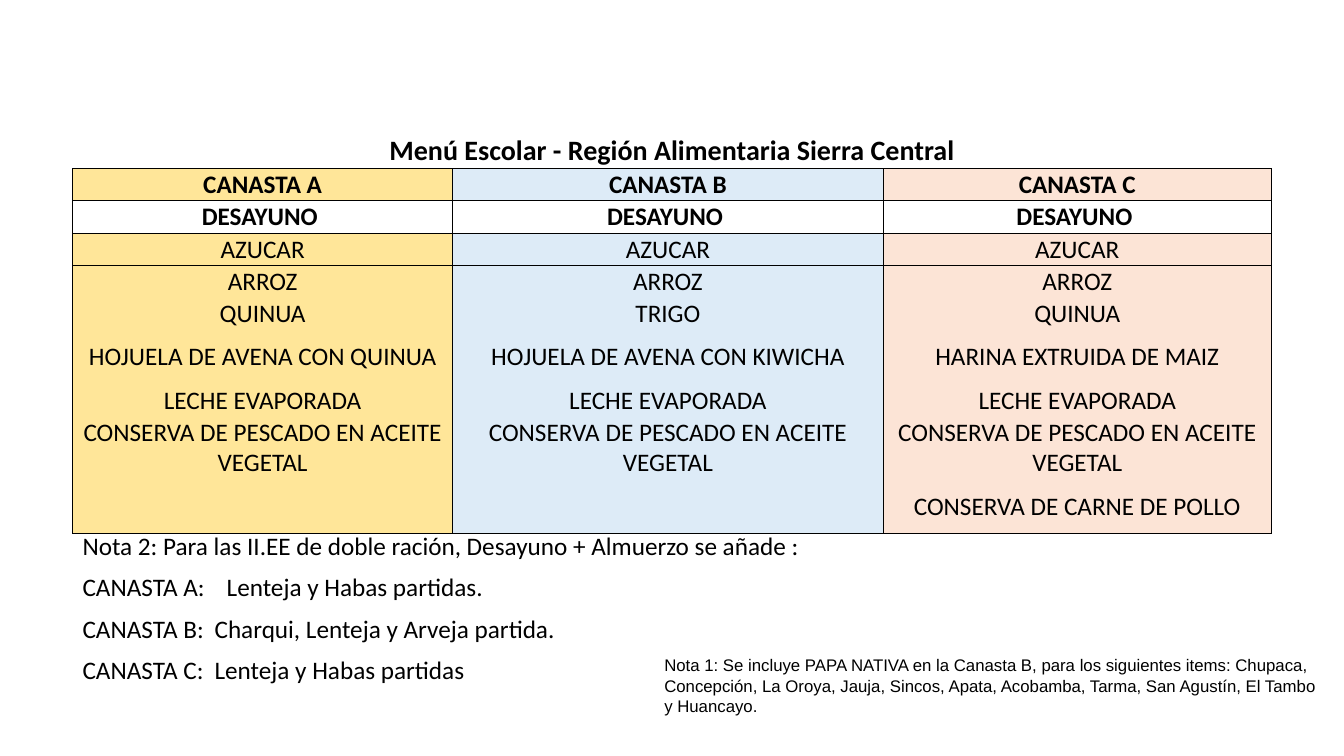
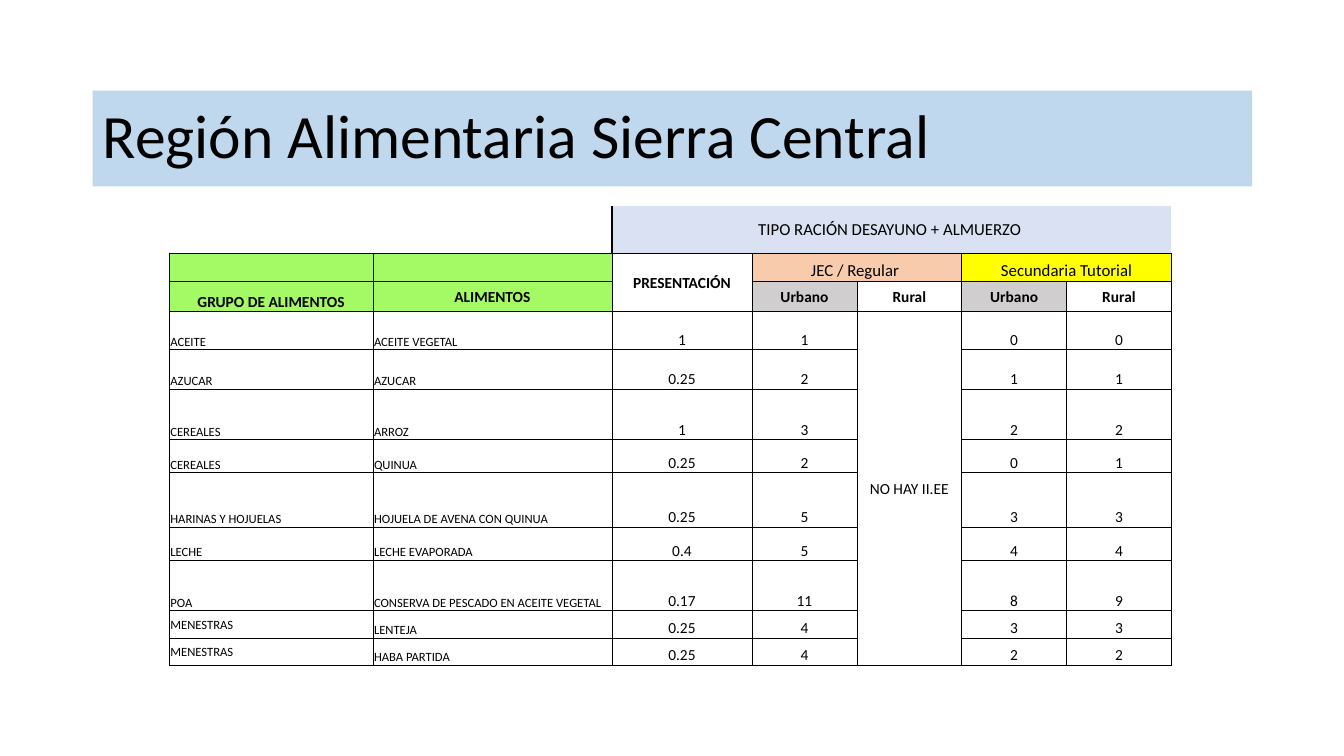
from dataclasses import dataclass

from lxml.etree import SubElement
from pptx import Presentation
from pptx.dml.color import RGBColor as RGB
from pptx.enum.shapes import MSO_SHAPE as Shape
from pptx.enum.text import MSO_ANCHOR as Anchor, PP_ALIGN as Align
from pptx.oxml.ns import qn
from pptx.util import Inches, Pt


@dataclass(frozen=True)
class Theme:
    font: str = "Calibri"
    note_font: str = "Arial"
    ink: str = "000000"
    white: str = "FFFFFF"
    title_band: str = "C0D8ED"
    basket_a: str = "FFE699"
    basket_b: str = "DDEBF7"
    basket_c: str = "FCE4D6"
    ration: str = "D9E1F2"
    group: str = "A4FA64"
    regular: str = "F8CBAD"
    tutorial: str = "FFFF00"
    urban: str = "D0CECE"
    title: int = 44
    menu_title: int = 20
    body: int = 18
    small: int = 12
    figure: int = 11
    food: int = 9
    thin: float = 0.5
    thick: float = 1


THEME = Theme()
NO_GRID_STYLE = "{2D5ABB26-0587-4C30-8999-92F81FD0307C}"
EDGE_TAGS = {"l": "a:lnL", "r": "a:lnR", "t": "a:lnT", "b": "a:lnB"}


def style_font(paragraph, size, bold=False, name=THEME.font):
    font = paragraph.font
    font.name, font.size, font.bold = name, Pt(size), bold
    font.color.rgb = RGB.from_string(THEME.ink)


def draw_edges(cell, edges):
    properties = cell._tc.get_or_add_tcPr()
    lines = []
    for side, tag in EDGE_TAGS.items():
        if side in edges:
            line = SubElement(properties, qn(tag), w=str(Pt(edges[side])))
            fill = SubElement(line, qn("a:solidFill"))
            SubElement(fill, qn("a:srgbClr"), val=THEME.ink)
            lines.append(line)
    for position, line in enumerate(lines):
        properties.insert(position, line)


def fill_cell(cell, text, size, fill=None, bold=False, align=Align.CENTER,
              anchor=Anchor.MIDDLE, edges="lrtb", **thickness):
    cell.margin_left = cell.margin_right = cell.margin_top = Inches(0.01)
    cell.margin_bottom = 0
    cell.vertical_anchor = anchor
    paragraph = cell.text_frame.paragraphs[0]
    paragraph.alignment = align
    if text:
        paragraph.add_run().text = text
    style_font(paragraph, size, bold)
    if fill:
        cell.fill.solid()
        cell.fill.fore_color.rgb = RGB.from_string(fill)
    draw_edges(cell, {side: THEME.thin for side in edges} | thickness)


def add_grid(slide, left, top, widths, heights):
    table = slide.shapes.add_table(
        len(heights), len(widths), Inches(left), Inches(top),
        Inches(sum(widths)), Inches(sum(heights))).table
    table.first_row = table.horz_banding = False
    table._tbl.tblPr.find(qn("a:tableStyleId")).text = NO_GRID_STYLE
    for column, width in zip(table.columns, widths):
        column.width = Inches(width)
    for row, height in zip(table.rows, heights):
        row.height = Inches(height)
    return table


def add_menu_table(slide, left, top):
    fish = "CONSERVA DE PESCADO EN ACEITE VEGETAL"
    baskets = [
        ("CANASTA A", THEME.basket_a,
         ["AZUCAR", "ARROZ", "QUINUA", "HOJUELA DE AVENA CON QUINUA",
          "LECHE EVAPORADA", fish, ""]),
        ("CANASTA B", THEME.basket_b,
         ["AZUCAR", "ARROZ", "TRIGO", "HOJUELA DE AVENA CON KIWICHA",
          "LECHE EVAPORADA", fish, ""]),
        ("CANASTA C", THEME.basket_c,
         ["AZUCAR", "ARROZ", "QUINUA", "HARINA EXTRUIDA DE MAIZ",
          "LECHE EVAPORADA", fish, "CONSERVA DE CARNE DE POLLO"]),
    ]
    heights = [0.35] + [0.32] * 5 + [0.54, 0.32, 0.62, 0.54]
    table = add_grid(slide, left, top, [3.77, 4.27, 3.85], heights)
    table.cell(0, 0).merge(table.cell(0, 2))
    fill_cell(table.cell(0, 0), "Menú Escolar - Región Alimentaria Sierra Central",
              THEME.menu_title, bold=True, edges="b")
    for col, (basket, color, foods) in enumerate(baskets):
        fill_cell(table.cell(1, col), basket, THEME.body, color, bold=True)
        fill_cell(table.cell(2, col), "DESAYUNO ", THEME.body, bold=True)
        for row, food in enumerate(foods, 3):
            edges = "lr" + ("t" if row == 3 else "") + ("b" if row == 9 else "")
            fill_cell(table.cell(row, col), food, THEME.body, color, edges=edges)


def add_note(slide, left, top, width, height, lines, size, font, space=0):
    frame = slide.shapes.add_textbox(
        Inches(left), Inches(top), Inches(width), Inches(height)).text_frame
    frame.word_wrap = True
    for index, (text, tab_stop) in enumerate(lines):
        paragraph = frame.add_paragraph() if index else frame.paragraphs[0]
        paragraph.add_run().text = text
        paragraph.space_after = Pt(space)
        if tab_stop:
            tabs = SubElement(paragraph._p.get_or_add_pPr(), qn("a:tabLst"))
            SubElement(tabs, qn("a:tab"), pos=str(Inches(tab_stop)), algn="l")
        style_font(paragraph, size, name=font)


def add_title_band(slide, left, top, width, height, text):
    band = slide.shapes.add_shape(
        Shape.RECTANGLE, Inches(left), Inches(top), Inches(width), Inches(height))
    band.shadow.inherit = False
    band.fill.solid()
    band.fill.fore_color.rgb = RGB.from_string(THEME.title_band)
    band.line.fill.background()
    frame = band.text_frame
    frame.word_wrap = True
    frame.vertical_anchor = Anchor.MIDDLE
    title = frame.paragraphs[0]
    title.add_run().text = text
    title.alignment = Align.LEFT
    title.line_spacing = 0.9
    style_font(title, THEME.title)


def add_ration_headings(table):
    for first, last in [((0, 2), (0, 6)), ((1, 2), (2, 2)), ((1, 3), (1, 4)),
                        ((1, 5), (1, 6)), ((3, 4), (11, 4))]:
        table.cell(*first).merge(table.cell(*last))
    fill_cell(table.cell(0, 0), "", THEME.small, edges="b")
    fill_cell(table.cell(0, 1), "", THEME.small, THEME.white, edges="b", r=THEME.thick)
    fill_cell(table.cell(0, 2), "TIPO RACIÓN DESAYUNO + ALMUERZO ", THEME.small,
              THEME.ration, edges="b", l=THEME.thick)
    fill_cell(table.cell(1, 0), "", THEME.figure, THEME.group)
    fill_cell(table.cell(1, 1), "", THEME.figure, THEME.group, edges="ltb")
    fill_cell(table.cell(1, 2), "PRESENTACIÓN", THEME.figure, bold=True,
              edges="tr", b=THEME.thick)
    fill_cell(table.cell(1, 3), "JEC / Regular ", THEME.small, THEME.regular,
              anchor=Anchor.BOTTOM)
    fill_cell(table.cell(1, 5), "Secundaria Tutorial", THEME.small, THEME.tutorial,
              anchor=Anchor.BOTTOM)
    fill_cell(table.cell(2, 0), "GRUPO DE ALIMENTOS", THEME.figure, THEME.group,
              bold=True, anchor=Anchor.BOTTOM)
    fill_cell(table.cell(2, 1), "ALIMENTOS", THEME.figure, THEME.group, bold=True,
              edges="ltb")
    areas = [("Urbano", THEME.urban), ("Rural", THEME.white)] * 2
    for col, (area, color) in enumerate(areas, 3):
        fill_cell(table.cell(2, col), area, THEME.figure, color, bold=True,
                  b=THEME.thick)
    fill_cell(table.cell(3, 4), "NO HAY II.EE", THEME.figure, THEME.white,
              t=THEME.thick)


def add_ration_table(slide, left, top):
    portions = [
        ("ACEITE", "ACEITE VEGETAL", "1", "1", "0", "0"),
        ("AZUCAR", "AZUCAR", "0.25", "2", "1", "1"),
        ("CEREALES", "ARROZ", "1", "3", "2", "2"),
        ("CEREALES", "QUINUA", "0.25", "2", "0", "1"),
        ("HARINAS Y HOJUELAS", "HOJUELA DE AVENA CON QUINUA", "0.25", "5", "3", "3"),
        ("LECHE", "LECHE EVAPORADA", "0.4", "5", "4", "4"),
        ("POA", "CONSERVA DE PESCADO EN ACEITE VEGETAL", "0.17", "11", "8", "9"),
        ("MENESTRAS", "LENTEJA", "0.25", "4", "3", "3"),
        ("MENESTRAS", "HABA PARTIDA", "0.25", "4", "2", "2"),
    ]
    widths = [2.02, 2.37, 1.39] + [1.04] * 4
    heights = [0.47, 0.28, 0.3, 0.38, 0.39, 0.5, 0.33, 0.54, 0.33, 0.5, 0.27, 0.27]
    table = add_grid(slide, left, top, widths, heights)
    add_ration_headings(table)
    for row, portion in enumerate(portions, 3):
        for col, value in zip((0, 1, 2, 3, 5, 6), portion):
            is_name = col < 2
            centred = value == "MENESTRAS"
            top_edge = {"t": THEME.thick} if row == 3 and not is_name else {}
            fill_cell(table.cell(row, col), value,
                      THEME.food if is_name else THEME.figure, THEME.white,
                      align=Align.LEFT if is_name else Align.CENTER,
                      anchor=Anchor.MIDDLE if centred else Anchor.BOTTOM, **top_edge)


def build_menu_slide(slide):
    add_menu_table(slide, 0.72, 1.32)
    add_note(slide, 6.49, 6.45, 6.67, 0.71, [
        ("Nota 1: Se incluye PAPA NATIVA en la Canasta B, para los siguientes items: "
         "Chupaca, Concepción, La Oroya, Jauja, Sincos, Apata, Acobamba, Tarma, "
         "San Agustín, El Tambo y Huancayo.", None)], THEME.small, THEME.note_font)
    add_note(slide, 0.72, 5.21, 8.59, 1.65, [
        ("Nota 2: Para las II.EE de doble ración, Desayuno + Almuerzo se añade :", None),
        ("CANASTA A:\tLenteja y Habas partidas.", 1.43),
        ("CANASTA B:\tCharqui, Lenteja y Arveja partida.", 1.31),
        ("CANASTA C:\tLenteja y Habas partidas", 1.31)],
        THEME.body, THEME.font, space=8)


def build_ration_slide(slide):
    add_title_band(slide, 0.92, 0.9, 11.5, 0.95, "Región Alimentaria Sierra Central")
    add_ration_table(slide, 1.68, 2.04)


def main():
    deck = Presentation()
    deck.slide_width, deck.slide_height = Inches(13.33), Inches(7.5)
    for build in (build_menu_slide, build_ration_slide):
        build(deck.slides.add_slide(deck.slide_layouts[6]))
    deck.save("out.pptx")


if __name__ == "__main__":
    main()
